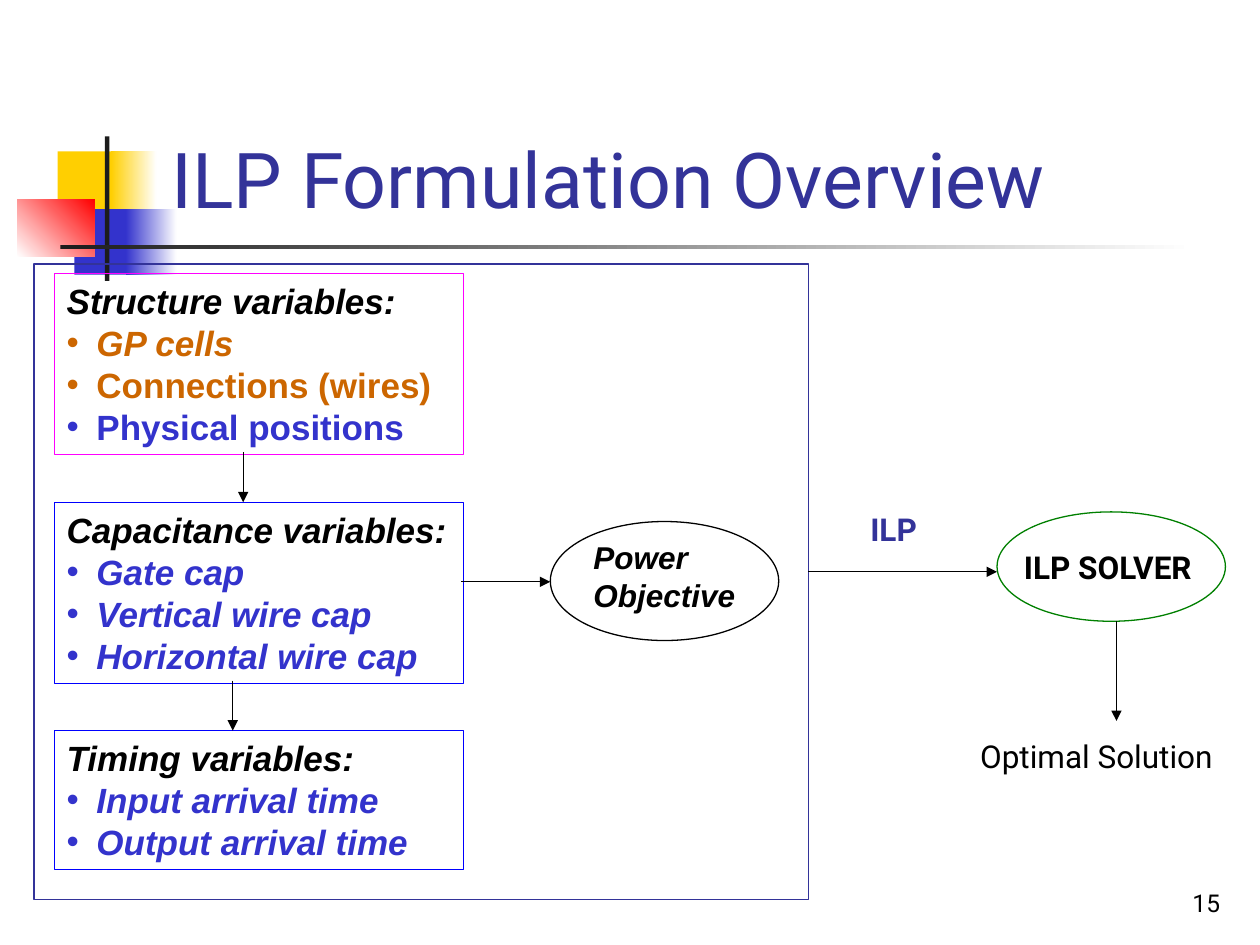
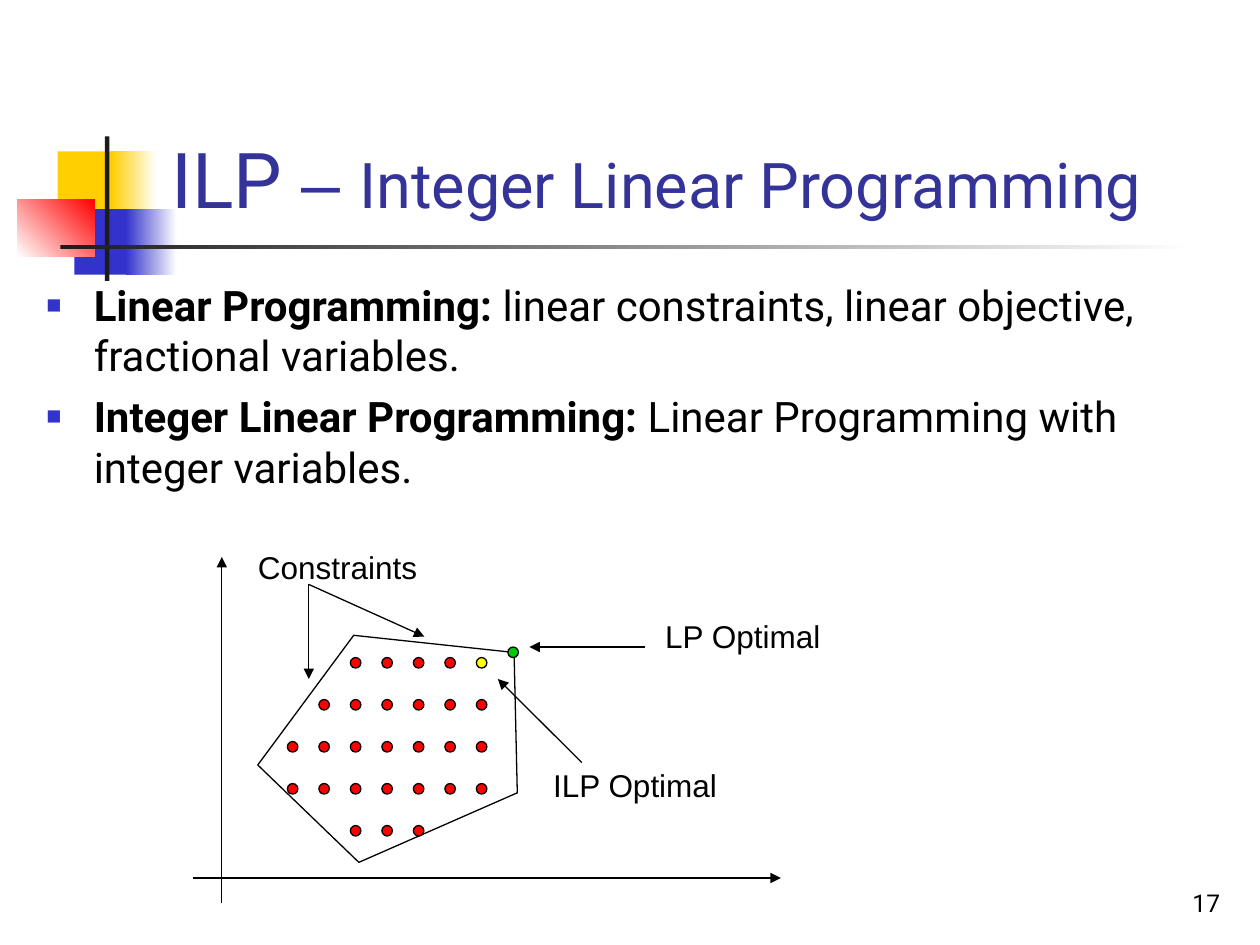
from dataclasses import dataclass
from typing import NamedTuple, Optional

import pptx
import pptx.dml.color
import pptx.enum.shapes
import pptx.enum.text
import pptx.oxml.ns
import pptx.shapes.base
import pptx.slide
import pptx.util
from lxml import etree

Pt = pptx.util.Pt
Kind = pptx.enum.shapes.MSO_SHAPE
Align = pptx.enum.text.PP_ALIGN
Anchor = pptx.enum.text.MSO_ANCHOR
qn = pptx.oxml.ns.qn


@dataclass(frozen=True)
class Theme:
    black: str = "000000"
    white: str = "FFFFFF"
    ink: str = "1C1C1C"
    navy: str = "333399"
    blue: str = "3333CC"
    bright_blue: str = "0000FF"
    orange: str = "CC6600"
    magenta: str = "FF00FF"
    dark_green: str = "008000"
    green: str = "00CC00"
    red: str = "FF0000"
    yellow: str = "FFFF00"
    gold: str = "FFCF01"
    main_font: str = "Roboto"
    diagram_font: str = "Arial"
    title_size: float = 44
    dash_size: float = 40
    subtitle_size: float = 36
    body_size: float = 24
    variable_size: float = 20
    label_size: float = 18
    number_size: float = 14
    hairline: float = 0.75
    line_pitch: float = 1.2


THEME = Theme()


class Area(NamedTuple):
    left: float
    top: float
    width: float
    height: float


class Span(NamedTuple):
    """A run; a value left at None comes from its text box."""
    text: str
    size: Optional[float] = None
    font: Optional[str] = None
    color: Optional[str] = None
    bold: Optional[bool] = None
    italic: Optional[bool] = None


class Bullet(NamedTuple):
    sign: str
    color: str
    indent: float
    percent: int = 100


class Para(NamedTuple):
    spans: list[Span]
    bullet: Optional[Bullet] = None


class Panel(NamedTuple):
    area: Area
    outline: str
    heading: str
    items: list[Span]


class Block(NamedTuple):
    """A filled rectangle, fading to a second colour if there is one."""
    area: Area
    color: str
    fade_to: Optional[str] = None
    angle: float = 0


class Arrow(NamedTuple):
    start: tuple[float, float]
    end: tuple[float, float]


DECORATION = [
    Block(Area(33, 86.5, 34.5, 37.5), THEME.gold),
    Block(Area(63.5, 86.5, 26, 37.5), THEME.gold, THEME.white),
    Block(Area(42.5, 119.5, 33, 37.5), THEME.blue),
    Block(Area(72, 119.5, 29, 37.5), THEME.blue, THEME.white),
    Block(Area(10, 113.75, 44, 33), THEME.white, THEME.red, 45),
    Block(Area(60, 78, 2.5, 82.5), THEME.ink),
    Block(Area(34.5, 140, 648, 2.5), THEME.ink, THEME.white),
]
TITLE_AREA = Area(90.75, 16.5, 613.5, 115.25)
NUMBER_AREA = Area(554.5, 491.75, 149.75, 36)


def rgb(color: str) -> pptx.dml.color.RGBColor:
    return pptx.dml.color.RGBColor.from_string(color)


def lengths(values: tuple[float, ...]) -> list[pptx.util.Length]:
    return [Pt(value) for value in values]


def add_shape(slide: pptx.slide.Slide, kind: Kind, area: Area, fill: Optional[str] = None,
              outline: Optional[str] = None,
              weight: float = THEME.hairline) -> pptx.shapes.base.BaseShape:
    shape = slide.shapes.add_shape(kind, *lengths(area))
    shape.shadow.inherit = False
    if fill:
        shape.fill.solid()
        shape.fill.fore_color.rgb = rgb(fill)
    else:
        shape.fill.background()
    if outline:
        shape.line.color.rgb = rgb(outline)
        shape.line.width = Pt(weight)
    else:
        shape.line.fill.background()
    return shape


def add_block(slide: pptx.slide.Slide, block: Block) -> None:
    shape = add_shape(slide, Kind.RECTANGLE, block.area, block.color)
    if block.fade_to:
        shape.fill.gradient()
        shape.fill.gradient_angle = block.angle
        for stop, color in zip(shape.fill.gradient_stops, (block.color, block.fade_to)):
            stop.color.rgb = rgb(color)


def add_arrow(slide: pptx.slide.Slide, arrow: Arrow) -> None:
    connector = slide.shapes.add_connector(
        pptx.enum.shapes.MSO_CONNECTOR.STRAIGHT, *lengths(arrow.start + arrow.end))
    connector.line.color.rgb = rgb(THEME.black)
    connector.line.width = Pt(THEME.hairline)
    properties = connector._element.spPr
    etree.SubElement(properties.find(qn("a:ln")), qn("a:tailEnd"), type="triangle")
    etree.SubElement(properties, qn("a:effectLst"))


def add_bullet(para, bullet: Bullet) -> None:
    properties = para._p.get_or_add_pPr()
    properties.set("marL", str(Pt(bullet.indent)))
    properties.set("indent", str(-Pt(bullet.indent)))
    color = etree.SubElement(properties, qn("a:buClr"))
    etree.SubElement(color, qn("a:srgbClr"), val=bullet.color)
    etree.SubElement(properties, qn("a:buSzPct"), val=str(bullet.percent * 1000))
    etree.SubElement(properties, qn("a:buFont"), typeface=THEME.diagram_font)
    etree.SubElement(properties, qn("a:buChar"), char=bullet.sign)


def write_text(shape: pptx.shapes.base.BaseShape, paras: list[Para], *, size: float,
               font: str = THEME.main_font, color: str = THEME.black, bold: bool = False,
               italic: bool = False, align: Align = Align.LEFT, anchor: Anchor = Anchor.TOP,
               space_before: float = 0) -> None:
    frame = shape.text_frame
    frame.word_wrap = True
    frame.vertical_anchor = anchor
    for index, content in enumerate(paras):
        para = frame.add_paragraph() if index else frame.paragraphs[0]
        if content.bullet:
            add_bullet(para, content.bullet)
        para.alignment = align
        para.line_spacing = Pt(size * THEME.line_pitch)
        para.space_before = Pt(space_before if index else 0)
        for span in content.spans:
            run = para.add_run()
            run.text = span.text
            run.font.size = Pt(span.size or size)
            run.font.name = span.font or font
            run.font.color.rgb = rgb(span.color or color)
            run.font.bold = bold if span.bold is None else span.bold
            run.font.italic = italic if span.italic is None else span.italic


def add_text(slide: pptx.slide.Slide, area: Area, paras: list[Para], **text_format) -> None:
    write_text(slide.shapes.add_textbox(*lengths(area)), paras, **text_format)


def add_label(slide: pptx.slide.Slide, area: Area, text: str, **text_format) -> None:
    add_text(slide, area, [Para([Span(text)])], size=THEME.label_size, **text_format)


def add_panel(slide: pptx.slide.Slide, panel: Panel) -> None:
    shape = add_shape(slide, Kind.RECTANGLE, panel.area, outline=panel.outline)
    paras = [Para([Span(panel.heading)])]
    paras += [Para([item], Bullet("•", item.color, 17)) for item in panel.items]
    write_text(shape, paras, size=THEME.variable_size, font=THEME.diagram_font,
               bold=True, italic=True)


def add_page(deck, title: list[Span], number: int) -> pptx.slide.Slide:
    """Start a slide with the shared decoration, title and page number."""
    page = deck.slides.add_slide(deck.slide_layouts[6])
    for block in DECORATION:
        add_block(page, block)
    add_text(page, NUMBER_AREA, [Para([Span(str(number))])], size=THEME.number_size,
             align=Align.RIGHT, anchor=Anchor.BOTTOM)
    add_text(page, TITLE_AREA, [Para(title)], size=THEME.title_size, color=THEME.navy,
             anchor=Anchor.BOTTOM)
    return page


def build_overview(deck) -> None:
    page = add_page(deck, [Span("ILP Formulation Overview")], 15)
    panels = [
        Panel(Area(31, 156.25, 234, 103.5), THEME.magenta, "Structure variables:", [
            Span("GP cells", color=THEME.orange),
            Span("Connections (wires)", color=THEME.orange, italic=False),
            Span("Physical positions", color=THEME.blue, italic=False)]),
        Panel(Area(31, 287, 234, 103.5), THEME.bright_blue, "Capacitance variables:", [
            Span(name, color=THEME.blue)
            for name in ("Gate cap", "Vertical wire cap", "Horizontal wire cap")]),
        Panel(Area(31, 417.5, 234, 79.25), THEME.bright_blue, "Timing variables:", [
            Span(name, color=THEME.blue)
            for name in ("Input arrival time", "Output arrival time")]),
    ]
    for panel in panels:
        add_panel(page, panel)

    add_shape(page, Kind.RECTANGLE, Area(19.5, 151, 442.5, 363), outline=THEME.navy, weight=1)
    add_shape(page, Kind.OVAL, Area(314.5, 298, 130.5, 68), outline=THEME.black)
    add_shape(page, Kind.OVAL, Area(569.75, 292.5, 130.5, 62.5), outline=THEME.dark_green)
    add_label(page, Area(332, 304, 108, 50.5), "Power Objective", font=THEME.diagram_font,
              bold=True, italic=True)
    add_label(page, Area(490.25, 288, 44, 29), "ILP", color=THEME.navy, bold=True)
    add_label(page, Area(578, 309.5, 119, 29), "ILP SOLVER", bold=True)
    add_label(page, Area(553, 417.5, 156, 29), "Optimal Solution")

    for arrow in (
        Arrow((139, 258.5), (139, 287)),
        Arrow((133, 389), (133, 417.5)),
        Arrow((263.5, 332.5), (314.5, 332.5)),
        Arrow((462, 326.75), (569.75, 326.75)),
        Arrow((638, 355), (638, 412)),
    ):
        add_arrow(page, arrow)


def add_integer_points(page: pptx.slide.Slide) -> None:
    """Dots on a regular grid; the last one of the top row is the optimum."""
    left, top, column_step, row_step, size = 164.25, 375.75, 18, 24, 6
    row_columns = [range(2, 7), range(1, 7), range(7), range(7), range(2, 5)]
    for row, columns in enumerate(row_columns):
        for column in columns:
            fill = THEME.yellow if (row, column) == (0, 6) else THEME.red
            area = Area(left + column * column_step, top + row * row_step, size, size)
            add_shape(page, Kind.OVAL, area, fill, THEME.black)


def build_programming(deck) -> None:
    page = add_page(deck, [
        Span("ILP "),
        Span("–", size=THEME.dash_size, font=THEME.diagram_font),
        Span(" "),
        Span("Integer Linear Programming", size=THEME.subtitle_size)], 17)

    square = Bullet("■", THEME.blue, 27, 60)
    definitions = [
        ("Linear Programming:",
         " linear constraints, linear objective, fractional variables."),
        ("Integer Linear Programming:", " Linear Programming with integer variables."),
    ]
    add_text(page, Area(19.5, 156.25, 656, 357),
             [Para([Span(term, bold=True), Span(meaning)], square)
              for term, meaning in definitions],
             size=THEME.body_size, space_before=6)

    region = add_shape(page, Kind.REGULAR_PENTAGON, Area(146.25, 358, 160, 120),
                       outline=THEME.black)
    region.rotation = 336.3
    add_integer_points(page)
    add_shape(page, Kind.OVAL, Area(290.25, 369.75, 6, 6), THEME.green, THEME.black)

    for area, text in (
        (Area(140.25, 309.5, 108, 29), "Constraints"),
        (Area(373, 349.25, 126, 29), "LP Optimal"),
        (Area(309, 434.25, 252, 29), "ILP Optimal"),
    ):
        add_label(page, area, text, font=THEME.diagram_font)

    constraints = (176.5, 334)
    for arrow in (
        Arrow((110.25, 501.75), (446.25, 501.75)),
        Arrow((126.75, 516.25), (126.75, 318.25)),
        Arrow(constraints, (176.5, 388)),
        Arrow(constraints, (242.5, 363.75)),
        Arrow((368.5, 369.75), (302.5, 369.75)),
        Arrow((332.5, 435.75), (284.5, 388)),
    ):
        add_arrow(page, arrow)


def main() -> None:
    deck = pptx.Presentation()
    deck.slide_width, deck.slide_height = Pt(720), Pt(540)
    build_overview(deck)
    build_programming(deck)
    deck.save("out.pptx")


if __name__ == "__main__":
    main()
